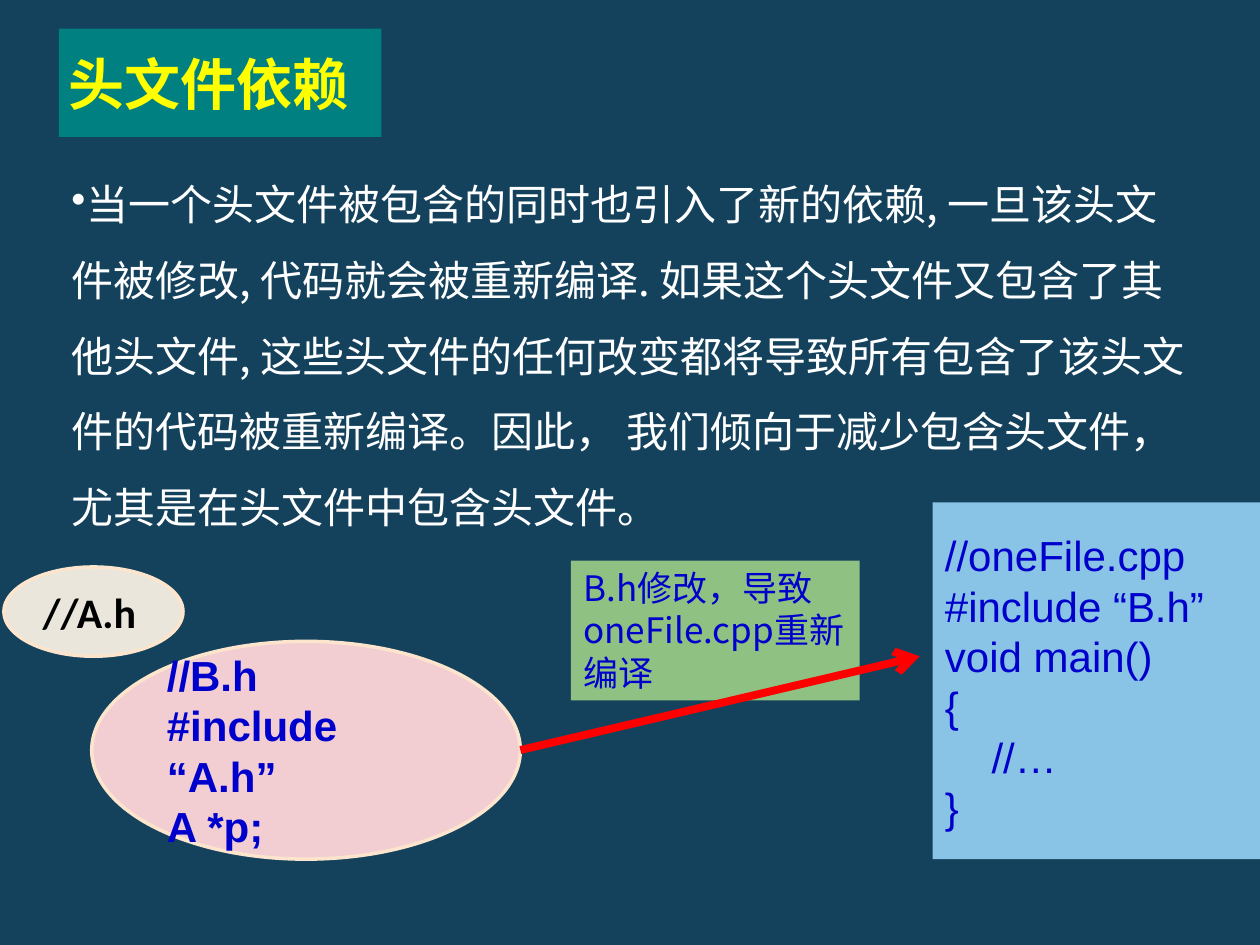
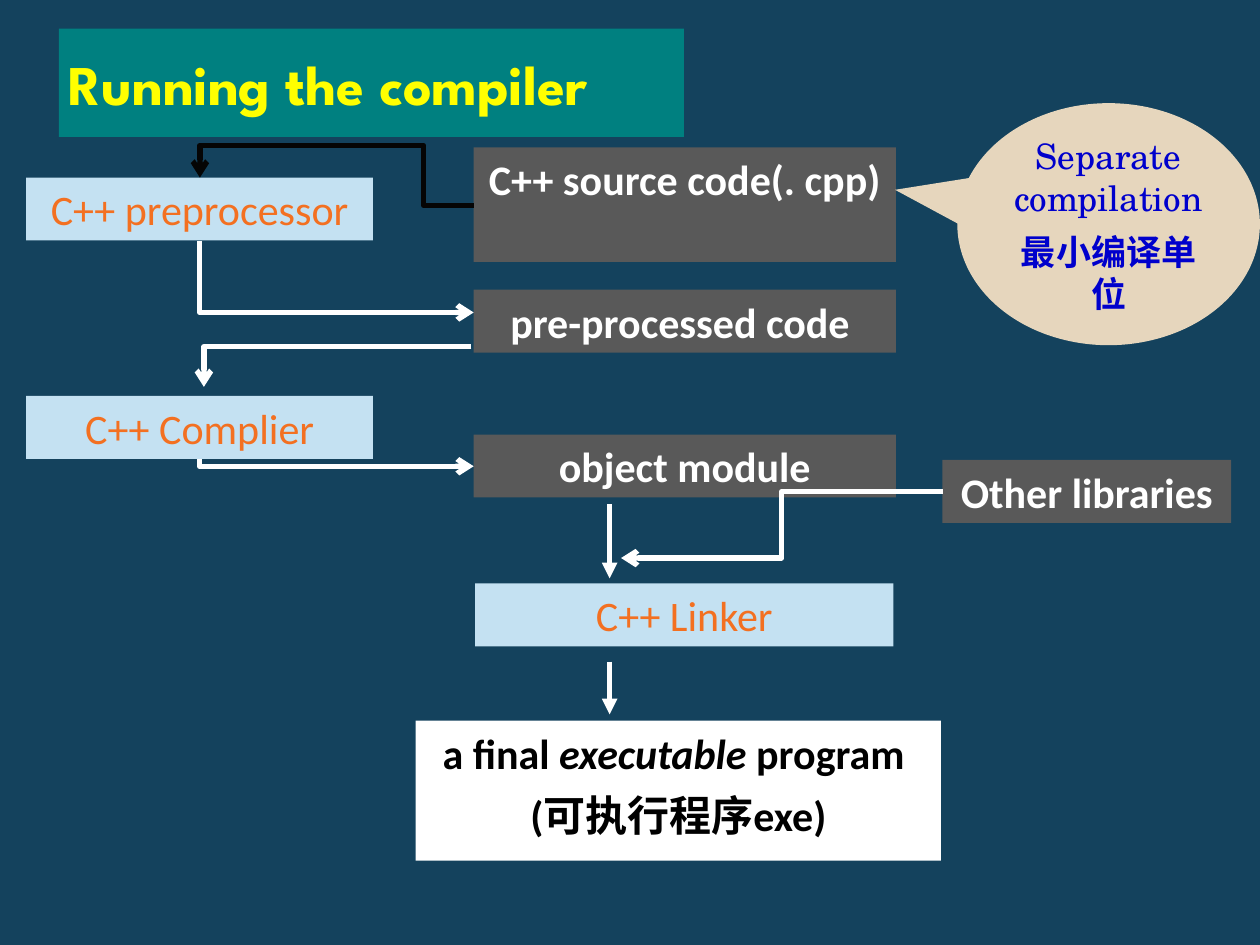
from pptx import Presentation
from pptx.dml.color import RGBColor
from pptx.enum.shapes import MSO_CONNECTOR, MSO_SHAPE
from pptx.enum.text import MSO_ANCHOR, PP_ALIGN
from pptx.oxml.ns import qn
from pptx.util import Cm, Pt
from lxml.etree import SubElement

NAVY = RGBColor(0x14, 0x42, 0x5D)
TEAL = RGBColor(0x00, 0x80, 0x80)
YELLOW = RGBColor(0xFF, 0xFF, 0x00)
WHITE = RGBColor(0xFF, 0xFF, 0xFF)
BLACK = RGBColor(0x00, 0x00, 0x00)
INK = RGBColor(0x05, 0x05, 0x05)
BLUE = RGBColor(0x00, 0x00, 0xCC)
RED = RGBColor(0xFF, 0x00, 0x00)
GREEN = RGBColor(0x8E, 0xC1, 0x82)
CREAM = RGBColor(0xEA, 0xE6, 0xDC)
PEACH = RGBColor(0xFD, 0xE5, 0xCD)
PINK = RGBColor(0xF2, 0xCE, 0xD2)
SKY = RGBColor(0x89, 0xC3, 0xE5)
PALE = RGBColor(0xC4, 0xE1, 0xF2)
GRAY = RGBColor(0x59, 0x59, 0x59)
ORANGE = RGBColor(0xF3, 0x70, 0x21)
SAND = RGBColor(0xE6, 0xD6, 0xBD)

HAN = "Noto Sans CJK SC"
SANS = "Calibri"
CODE = "Arial"
SERIF = "TeX Gyre Schola"
HEAD = "League Spartan"

WIDE, HIGH = 25.4, 19.05


def write(shape, paras, font, size, color, bold=False, align=PP_ALIGN.LEFT,
          anchor=MSO_ANCHOR.MIDDLE, inset=(0.25, 0.13), gap=0):
    """Fill a shape with paragraphs; each is a string or a list of (text, style)."""
    frame = shape.text_frame
    frame.word_wrap = True
    frame.vertical_anchor = anchor
    frame.margin_left = frame.margin_right = Cm(inset[0])
    frame.margin_top = frame.margin_bottom = Cm(inset[1])
    for num, runs in enumerate(paras):
        para = frame.add_paragraph() if num else frame.paragraphs[0]
        para.alignment = align
        if num and gap:
            para.space_before = Pt(gap)
        for text, style in [(runs, {})] if isinstance(runs, str) else runs:
            run = para.add_run()
            run.text = text
            run.font.name = font
            run.font.size = Pt(size)
            run.font.bold = style.get("bold", bold)
            run.font.italic = style.get("italic", False)
            run.font.color.rgb = color
            SubElement(run.font._element, qn("a:ea"), typeface=HAN)
    return frame


def block(slide, box, fill, kind=MSO_SHAPE.RECTANGLE, edge=None):
    shape = slide.shapes.add_shape(kind, *map(Cm, box))
    shape.shadow.inherit = False
    shape.fill.solid()
    shape.fill.fore_color.rgb = fill
    if edge is None:
        shape.line.fill.background()
    else:
        shape.line.color.rgb = edge
        shape.line.width = Pt(2)
    return shape


def arrow(slide, start, end, color=WHITE, width=3, tip="triangle",
          kind=MSO_CONNECTOR.STRAIGHT):
    line = slide.shapes.add_connector(kind, *map(Cm, (*start, *end)))
    line.line.color.rgb = color
    line.line.width = Pt(width)
    props = line.element.spPr
    SubElement(props.find(qn("a:ln")), qn("a:tailEnd"), type=tip)
    SubElement(props, qn("a:effectLst"))
    return line


def elbow(slide, start, end, bends, turn=180, flip=None, adjust=(), color=WHITE):
    """Bent arrow: the frame is centred between its ends, then turned and flipped."""
    (x1, y1), (x2, y2) = start, end
    wide, high = abs(x2 - x1), abs(y2 - y1)
    if turn == 270:
        wide, high = high, wide
    left, top = (x1 + x2 - wide) / 2, (y1 + y2 - high) / 2
    line = arrow(slide, (left, top), (left + wide, top + high), color,
                 tip="arrow", kind=MSO_CONNECTOR.ELBOW)
    props = line.element.spPr
    frame = props.find(qn("a:xfrm"))
    frame.set("rot", str(turn * 60000))
    if flip:
        frame.set(flip, "1")
    shape = props.find(qn("a:prstGeom"))
    shape.set("prst", f"bentConnector{bends}")
    guides = shape.find(qn("a:avLst"))
    for num, part in enumerate(adjust, 1):
        SubElement(guides, qn("a:gd"), name=f"adj{num}",
                   fmla=f"val {round(part * 100000)}")


def page(deck, title, width, font):
    """Blank slide with the shared ground and title band."""
    slide = deck.slides.add_slide(deck.slide_layouts[6])
    slide.background.fill.solid()
    slide.background.fill.fore_color.rgb = NAVY
    band = block(slide, (1.19, 0.58, width, 2.18), TEAL)
    write(band, [title], font, 32, YELLOW, bold=True, inset=(0.2, 0.1))
    return slide


def bullet(slide, box, text):
    shape = slide.shapes.add_textbox(*map(Cm, box))
    para = shape.text_frame.paragraphs[0]
    props = para._p.get_or_add_pPr()
    props.set("marL", "0")
    props.set("indent", "0")
    SubElement(props, qn("a:buChar"), char="•")
    para.line_spacing = 1.5
    write(shape, [text], HAN, 24, WHITE, anchor=MSO_ANCHOR.TOP)


def headers(slide, box):
    """Header files, the source that includes them, and the rebuild arrow."""
    x, y, wide, high = box
    # Note on the rebuild
    note = block(slide, (x + 11.51, y + 1.17, 5.82, 2.82), GREEN)
    write(note, ["B.h修改，导致oneFile.cpp重新编译"], HAN, 20, BLUE,
          anchor=MSO_ANCHOR.TOP)
    # Header files
    first = block(slide, (x + 0.08, y + 1.3, 3.61, 1.8), CREAM,
                  MSO_SHAPE.OVAL, PEACH)
    write(first, ["//A.h"], SANS, 24, BLACK, bold=True)
    second = block(slide, (x + 1.85, y + 2.8, 8.64, 4.39), PINK,
                   MSO_SHAPE.OVAL, PEACH)
    write(second, ["//B.h", "#include “A.h”", "A *p;"], CODE, 24, BLUE, bold=True)
    # Source file at the right edge
    main_file = block(slide, (x + wide - 6.6, y, 6.6, high), SKY)
    write(main_file, ["//oneFile.cpp", "#include “B.h”", "void main()", "{",
                      "    //…", "}"], CODE, 24, BLUE)
    arrow(slide, (x + 10.49, y + 4.99), (x + 18.54, y + 3.1), RED, 4.5, "arrow")


def build(slide, box):
    """Flow from source code to the program."""
    x, y, wide, high = box
    row = 1.27

    def at(dx, dy):
        return x + dx, y + dy

    # Files
    for text, dx, dy, w, h in [
        ("C++ source code(. cpp)", 9.02, 0.89, 8.51, 2.31),
        ("pre-processed code ", 9.02, 3.76, 8.51, row),
        ("object module", 9.02, 6.68, 8.51, row),
        ("Other libraries", 18.47, 7.19, 5.82, row),
    ]:
        write(block(slide, (*at(dx, dy), w, h), GRAY), [text], SANS, 24, WHITE,
              bold=True, align=PP_ALIGN.CENTER, anchor=MSO_ANCHOR.TOP)
    # Tools
    for text, dx, dy, w in [
        ("C++ preprocessor", 0, 1.5, 6.99),
        ("C++ Complier", 0, 5.9, 6.99),
        ("C++ Linker", 9.05, 9.68, 8.43),
    ]:
        write(block(slide, (*at(dx, dy), w, row), PALE), [text], SANS, 24, ORANGE,
              align=PP_ALIGN.CENTER)
    # Program
    goal = block(slide, (*at(7.85, high - 2.82), 10.59, 2.82), WHITE)
    write(goal, [[("a final ", {}), ("executable", {"italic": True}),
                  (" program ", {})], "(可执行程序exe)"], SANS, 24, BLACK,
          bold=True, align=PP_ALIGN.CENTER, anchor=MSO_ANCHOR.TOP, gap=7)
    # Callout at the right edge
    bubble = block(slide, (*at(wide - 6.1, 0), 6.1, 4.88), SAND,
                   MSO_SHAPE.OVAL_CALLOUT)
    bubble.adjustments[0], bubble.adjustments[1] = -0.706, -0.142
    write(bubble, ["Separate compilation", [("最小编译单位", {"bold": True})]],
          SERIF, 20, BLUE, align=PP_ALIGN.CENTER, gap=7)
    # Bent arrows
    elbow(slide, at(9.02, 2.06), at(3.5, 1.5), 4, adjust=(0.183, 2.162), color=INK)
    for start, end in [((3.5, 2.77), (9.02, 4.22)), ((3.5, 7.17), (9.02, 7.32))]:
        elbow(slide, at(*start), at(*end), 2, 270, "flipH")
    elbow(slide, at(8.97, 4.91), at(3.58, 5.72), 2, flip="flipV")
    elbow(slide, at(18.47, 7.83), at(11.99, 9.17), 3, flip="flipV", adjust=(0.5,))
    # Straight arrows
    for top, end in [(8.08, 9.58), (11.26, 12.32)]:
        arrow(slide, at(11.76, top), at(11.76, end))


def main():
    deck = Presentation()
    deck.slide_width, deck.slide_height = Cm(WIDE), Cm(HIGH)

    slide = page(deck, "头文件依赖", 6.5, HAN)
    bullet(slide, (1.19, 2.97, 23.22, 7.77),
           "当一个头文件被包含的同时也引入了新的依赖, 一旦该头文件被修改, "
           "代码就会被重新编译. 如果这个头文件又包含了其他头文件, "
           "这些头文件的任何改变都将导致所有包含了该头文件的代码被重新编译。"
           "因此， 我们倾向于减少包含头文件，尤其是在头文件中包含头文件。")
    headers(slide, (0, 10.13, WIDE, 7.19))

    slide = page(deck, "Running the compiler", 12.6, HEAD)
    build(slide, (0.53, 2.08, WIDE - 0.53, 15.27))

    deck.save("out.pptx")


if __name__ == "__main__":
    main()
